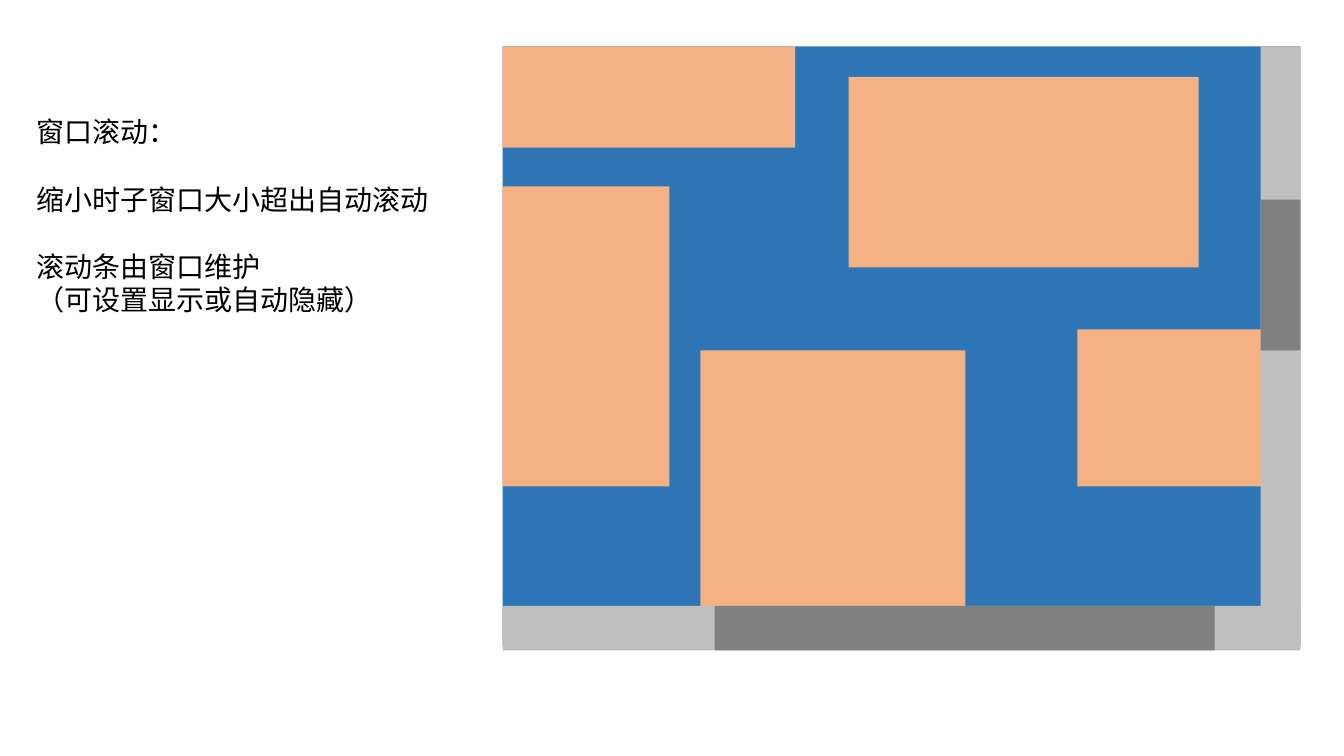
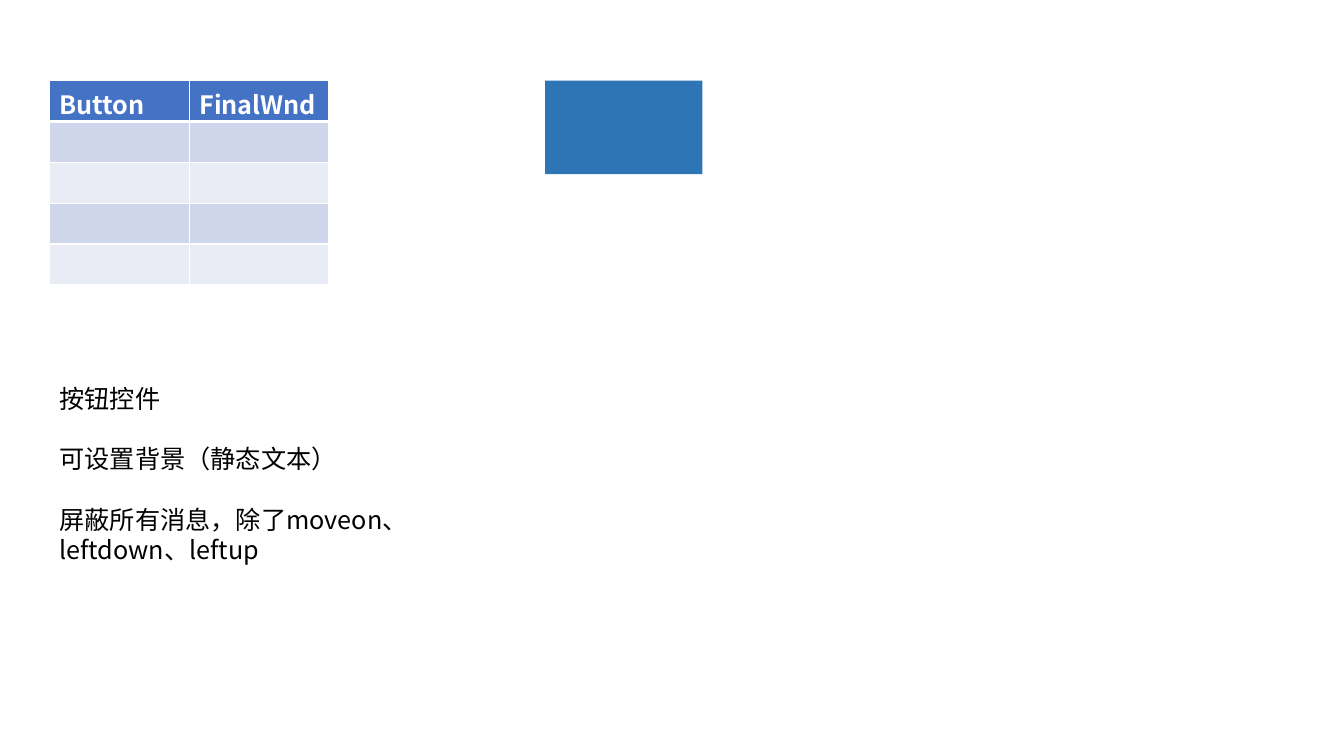
from lxml import etree
from pptx import Presentation
from pptx.dml.color import RGBColor
from pptx.enum import shapes, text
from pptx.oxml import ns
from pptx.util import Cm, Pt

FONT = "Noto Sans CJK SC"
BLACK = RGBColor(0x00, 0x00, 0x00)
WHITE = RGBColor(0xFF, 0xFF, 0xFF)
BLUE = RGBColor(0x2E, 0x75, 0xB6)
PEACH = RGBColor(0xF4, 0xB1, 0x83)
TRACK = RGBColor(0xBF, 0xBF, 0xBF)
THUMB = RGBColor(0x80, 0x80, 0x80)
HEAD = RGBColor(0x44, 0x72, 0xC4)
BANDS = (RGBColor(0xCF, 0xD5, 0xEA), RGBColor(0xE9, 0xEB, 0xF5))

SCROLL = [
    ("窗口滚动：", 0),
    ("缩小时子窗口大小超出自动滚动", 24),
    ("滚动条由窗口维护", 24),
    ("（可设置显示或自动隐藏）", 0),
]
BUTTON = [
    ("按钮控件", 0),
    ("可设置背景（静态文本）", 21.6),
    ("屏蔽所有消息，除了moveon、leftdown、leftup", 21.6),
]
LABELS = ["Button", "FinalWnd"]
ROWS = 5

LEFT, TOP, WIDE, TALL = 12.67, 1.17, 20.1, 15.11
BAR = 1.0
FOOT = 1.12
RIGHT = LEFT + WIDE - BAR
BASE = 15.27
PANES = [
    (LEFT, TOP, 7.37, 2.55),
    (LEFT, 4.7, 4.2, 7.56),
    (21.39, 1.94, 8.82, 4.8),
    (17.65, 8.83, 6.68, 7.14),
    (27.15, 8.3, 5.0, 3.96),
]
BARS = [
    ((RIGHT, TOP, BAR, TALL), TRACK),
    ((LEFT, BASE, WIDE, FOOT), TRACK),
    ((18.01, BASE, 12.6, FOOT), THUMB),
    ((RIGHT, 5.03, BAR, 3.8), THUMB),
]


def block(home, area, fill):
    rect = home.add_shape(shapes.MSO_SHAPE.RECTANGLE, *map(Cm, area))
    rect.shadow.inherit = False
    rect.fill.solid()
    rect.fill.fore_color.rgb = fill
    rect.line.fill.background()


def write(frame, lines, size=18, color=BLACK, bold=False, wrap=True):
    frame.word_wrap = wrap
    for i, (words, gap) in enumerate(lines):
        para = frame.paragraphs[0] if i == 0 else frame.add_paragraph()
        para.space_before = Pt(gap)
        run = para.add_run()
        run.text = words
        font = run.font
        font.name, font.size, font.bold = FONT, Pt(size), bold
        font.color.rgb = color
        face = etree.SubElement(run._r.get_or_add_rPr(), ns.qn("a:ea"))
        face.set("typeface", FONT)


def note(slide, area, lines, **style):
    box = slide.shapes.add_textbox(*map(Cm, area))
    box.text_frame.auto_size = text.MSO_AUTO_SIZE.SHAPE_TO_FIT_TEXT
    write(box.text_frame, lines, **style)


def edge(cell, side, width):
    line = etree.SubElement(cell._tc.get_or_add_tcPr(), ns.qn("a:ln" + side))
    line.set("w", str(Pt(width)))
    fill = etree.SubElement(line, ns.qn("a:solidFill"))
    etree.SubElement(fill, ns.qn("a:srgbClr")).set("val", str(WHITE))


def grid(slide, area):
    table = slide.shapes.add_table(ROWS, len(LABELS), *map(Cm, area)).table
    for r in range(ROWS):
        for c, label in enumerate(LABELS):
            cell = table.cell(r, c)
            for side in "LRTB":
                thick = (r, side) in ((0, "B"), (1, "T"))
                edge(cell, side, 3 if thick else 1)
            cell.fill.solid()
            cell.fill.fore_color.rgb = HEAD if r == 0 else BANDS[(r - 1) % 2]
            if r == 0:
                write(cell.text_frame, [(label, 0)], color=WHITE, bold=True)


def main():
    deck = Presentation()
    deck.slide_width, deck.slide_height = Cm(33.87), Cm(19.05)
    blank = deck.slide_layouts[6]

    slide = deck.slides.add_slide(blank)
    note(slide, (0.66, 2.77, 10.49, 5.38), SCROLL, size=20, wrap=False)
    group = slide.shapes.add_group_shape()
    block(group.shapes, (LEFT, TOP, WIDE, TALL), BLUE)
    for area in PANES:
        block(group.shapes, area, PEACH)
    for area, fill in BARS:
        block(slide.shapes, area, fill)

    slide = deck.slides.add_slide(blank)
    block(slide.shapes, (13.74, 2.03, 3.96, 2.36), BLUE)
    grid(slide, (1.25, 2.03, 7.04, 5.15))
    note(slide, (1.25, 9.53, 9.37, 4.88), BUTTON)

    deck.save("out.pptx")


if __name__ == "__main__":
    main()
